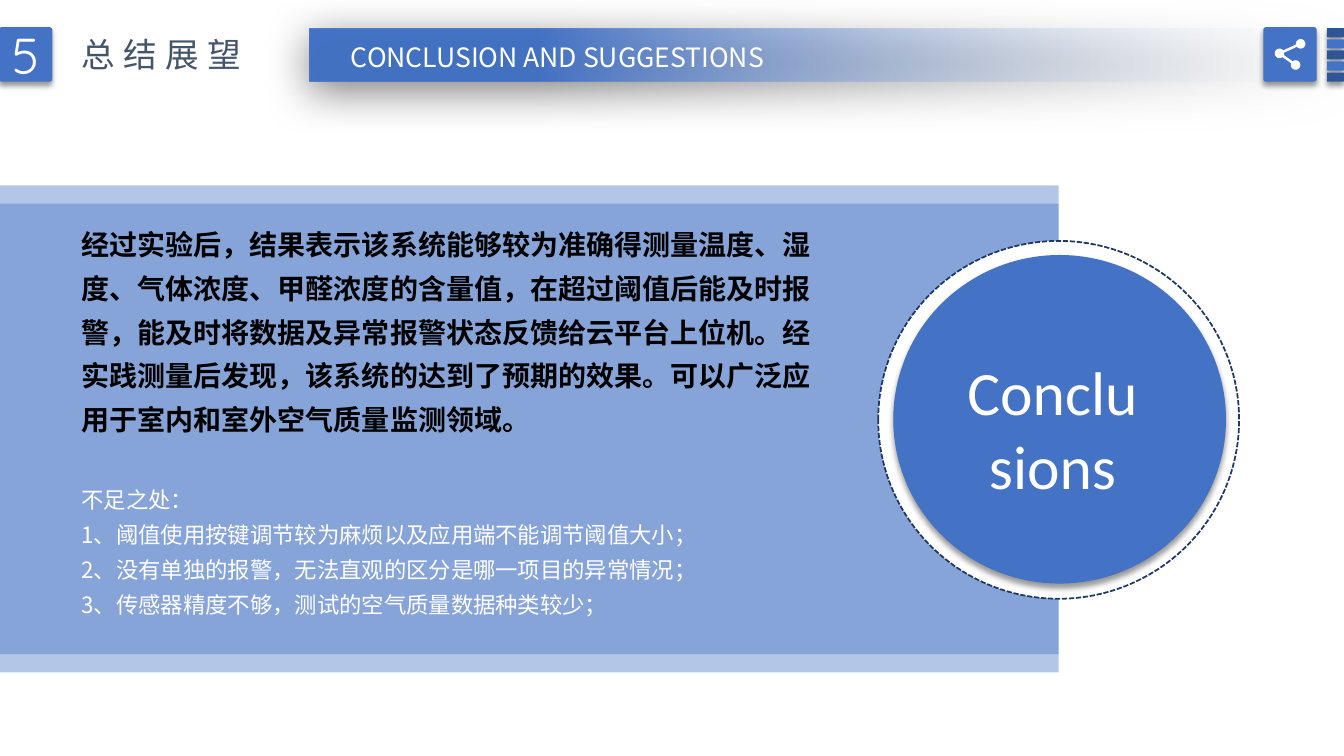
from math import cos, radians, sin

from lxml import etree
from pptx import Presentation
from pptx.dml.color import RGBColor
from pptx.enum.dml import MSO_LINE
from pptx.enum.shapes import MSO_SHAPE
from pptx.enum.text import MSO_ANCHOR, PP_ALIGN
from pptx.oxml import parse_xml
from pptx.oxml.ns import nsdecls, qn
from pptx.util import Inches, Pt

RECT, ROUND, OVAL = MSO_SHAPE.RECTANGLE, MSO_SHAPE.ROUNDED_RECTANGLE, MSO_SHAPE.OVAL
DASH, MIDDLE = MSO_LINE.SQUARE_DOT, MSO_ANCHOR.MIDDLE
LEFT, CENTER = PP_ALIGN.LEFT, PP_ALIGN.CENTER
COLORS = {"blue": "4472C4", "deep": "2F5597", "navy": "203864", "slate": "44546A",
          "pale": "F7FAFD", "white": "FFFFFF", "black": "000000"}
CJK = "Noto Sans CJK SC"
SOFT = (40, 4, 3, 90)  # shadow opacity, blur, distance, direction

prs = Presentation()
prs.slide_width, prs.slide_height = Inches(13.33), Inches(7.5)
slide = prs.slides.add_slide(prs.slide_layouts[6])
CELL = prs.slide_height / 75  # square grid cell, 75 rows high


def add_block(kind, box, color, alpha=100, shadow=None):
    """Borderless preset shape; box is left, top, width, height in cells."""
    block = slide.shapes.add_shape(kind, *(round(n * CELL) for n in box))
    block.shadow.inherit = False
    block.line.fill.background()
    block.fill.solid()
    block.fill.fore_color.rgb = RGBColor.from_string(COLORS[color])
    if kind == ROUND:
        block.adjustments[0] = 0.05
    if alpha < 100:
        fill_color = block.fill._xPr.find(".//" + qn("a:srgbClr"))
        etree.SubElement(fill_color, qn("a:alpha")).set("val", str(alpha * 1000))
    if shadow:
        opacity, blur, distance, direction = shadow
        block._element.spPr.find(qn("a:effectLst")).append(parse_xml(
            f'<a:outerShdw {nsdecls("a")} blurRad="{Pt(blur)}" dist="{Pt(distance)}" '
            f'dir="{direction * 60000}" algn="t" rotWithShape="0"><a:srgbClr val="{COLORS["black"]}">'
            f'<a:alpha val="{opacity * 1000}"/></a:srgbClr></a:outerShdw>'))
    return block


def write(paragraph, text, color, align=LEFT, **font_format):
    run = paragraph.add_run()
    run.text = text
    paragraph.alignment = align
    for key, value in font_format.items():
        setattr(run.font, key, value)
    run.font.color.rgb = RGBColor.from_string(COLORS[color])
    east_asian = etree.SubElement(run.font._element, qn("a:ea"))
    east_asian.set("typeface", CJK)
    return run


# Two translucent panels, offset so their edges form pale bands
for panel_top in (20.2, 18.4):
    add_block(RECT, (0, panel_top, 105, 46.5), "blue", alpha=40)

# Conclusion disc inside a dashed ring
ring = add_block(OVAL, (87.1, 23.9, 35.8, 35.5), "white")
ring.line.color.rgb = RGBColor.from_string(COLORS["navy"])
ring.line.width = Pt(1.25)
ring.line.dash_style = DASH
add_block(OVAL, (88.6, 25.3, 33, 32.6), "blue", shadow=SOFT)

# Header bar fading to the right, and section number
bar = add_block(RECT, (30.7, 2.8, 102.6, 5.3), "blue", shadow=(50, 31, 6, 97))
bar.fill.gradient()
bar.fill.gradient_angle = 180
for stop, (position, color) in zip(bar.fill.gradient_stops, ((0, "pale"), (0.78, "blue"))):
    stop.position = position
    stop.color.rgb = RGBColor.from_string(COLORS[color])
clear_end = bar.fill._xPr.find(".//" + qn("a:srgbClr"))
etree.SubElement(clear_end, qn("a:alpha")).set("val", "0")

number = add_block(ROUND, (-0.1, 2.7, 5.3, 5.4), "blue", shadow=SOFT)
number.text_frame.vertical_anchor = MIDDLE
write(number.text_frame.paragraphs[0], "5", "white", CENTER, size=Pt(36), name="Quicksand")

# Single-line labels and the disc caption
labels = [
    ((94.8, 34.6, 19.2, 15.8), True, "Conclusions", "white", CENTER, 44, "Calibri", 0),
    ((7.1, 2.9, 18.8, 5), False, "总结展望", "slate", LEFT, 24, CJK, 6),
    ((32.2, 3.6, 46.2, 4.2), False, "CONCLUSION AND SUGGESTIONS", "white", CENTER, 19, CJK, 0),
]
for box, wrap, text, color, align, size, face, spacing in labels:
    label = slide.shapes.add_textbox(*(round(n * CELL) for n in box)).text_frame
    label.word_wrap = wrap
    run = write(label.paragraphs[0], text, color, align, size=Pt(size), name=face)
    if spacing:
        run.font._element.set("spc", str(spacing * 100))

# Findings, then shortcomings
findings = ("经过实验后，结果表示该系统能够较为准确得测量温度、湿度、气体浓度、甲醛浓度的含量值，"
            "在超过阈值后能及时报警，能及时将数据及异常报警状态反馈给云平台上位机。"
            "经实践测量后发现，该系统的达到了预期的效果。可以广泛应用于室内和室外空气质量监测领域。")
shortcomings = ["不足之处：",
                "1、阈值使用按键调节较为麻烦以及应用端不能调节阈值大小；",
                "2、没有单独的报警，无法直观的区分是哪一项目的异常情况；",
                "3、传感器精度不够，测试的空气质量数据种类较少；"]
body = slide.shapes.add_textbox(*(round(n * CELL) for n in (7.1, 21.1, 75.1, 40.5))).text_frame
body.word_wrap = True
write(body.paragraphs[0], findings, "black", size=Pt(20), name="Times New Roman", bold=True)
for line in shortcomings:
    write(body.add_paragraph(), line, "white", size=Pt(16), name=CJK, bold=False)
for paragraph in body.paragraphs:
    paragraph.line_spacing = 1.3
body.paragraphs[1].space_before = Pt(30)

# Stripes at the right edge and the share button
for row in range(5):
    add_block(ROUND, (131.6, 2.8 + 1.1 * row, 1.7, 0.9), ("deep", "blue")[row % 2], shadow=SOFT)
add_block(ROUND, (125.3, 2.7, 5.3, 5.4), "blue", shadow=SOFT)

# Share icon: arcs round three nodes, joined by straight edges
top_node, left_node, low_node = (129, 4.35), (126.9, 5.3), (128.5, 6.45)
arcs = [(top_node, 171, 501), (left_node, -9, 21), (low_node, 231, 561), (left_node, 51, 321)]
NODE_RADIUS, STEPS = 0.47, 24
outline = []
for (x, y), start, end in arcs:
    for step in range(STEPS + 1):
        angle = radians(start + (end - start) * step / STEPS)
        outline.append((round((x + NODE_RADIUS * cos(angle)) * CELL),
                        round((y + NODE_RADIUS * sin(angle)) * CELL)))
builder = slide.shapes.build_freeform(*outline[0])
builder.add_line_segments(outline[1:], close=True)
share = builder.convert_to_shape()
share.shadow.inherit = False
share.line.fill.background()
share.fill.solid()
share.fill.fore_color.rgb = RGBColor.from_string(COLORS["white"])

prs.save("out.pptx")
